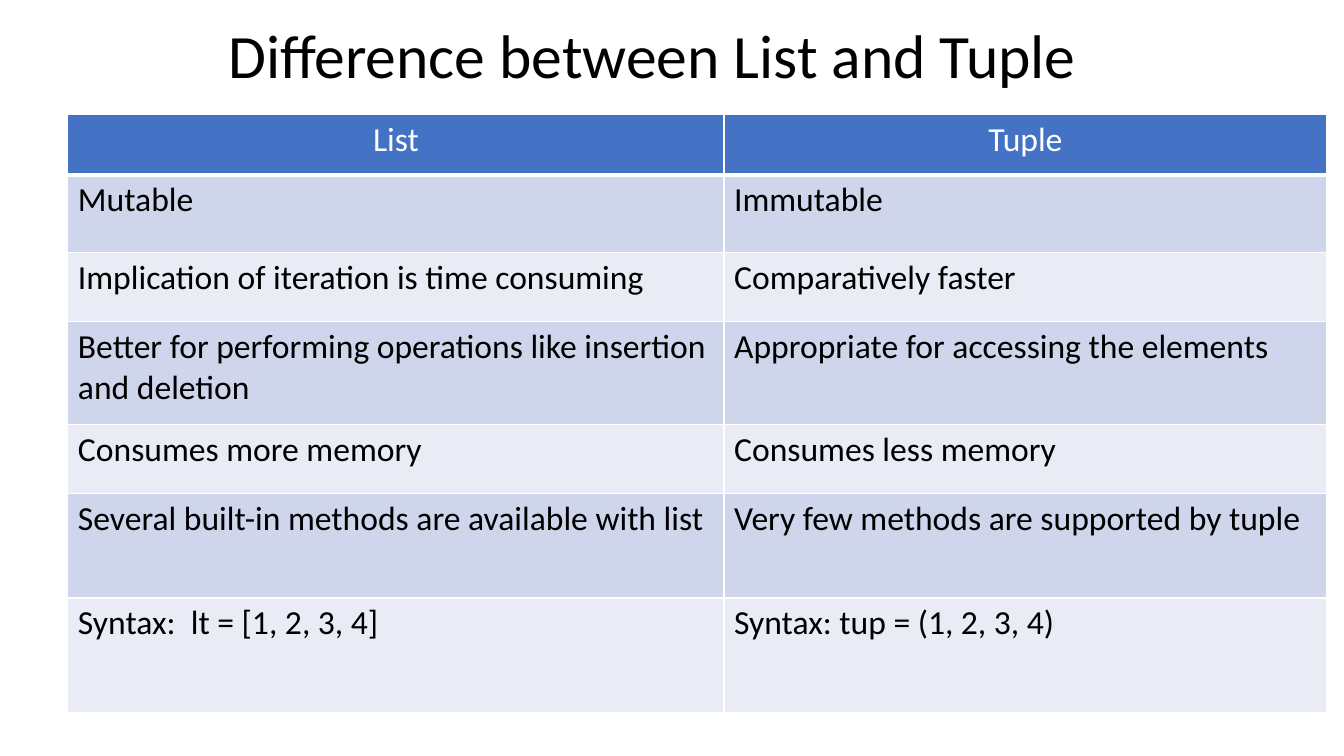
import pptx
import pptx.dml.color
import pptx.enum.text
import pptx.util
from lxml import etree
from pptx.oxml.ns import qn

Pt = pptx.util.Pt
ALIGN = pptx.enum.text.PP_ALIGN

COMPARISON = [
    ("List", "Tuple"),
    ("Mutable", "Immutable"),
    ("Implication of iteration is time consuming", "Comparatively faster"),
    ("Better for performing operations like insertion and deletion",
     "Appropriate for accessing the elements"),
    ("Consumes more memory", "Consumes less memory"),
    ("Several built-in methods are available with list",
     "Very few methods are supported by tuple"),
    ("Syntax:  lt = [1, 2, 3, 4]", "Syntax: tup = (1, 2, 3, 4)"),
]
COLUMN_WIDTHS = [468.7, 430.6]
ROW_HEIGHTS = [43.2, 55.4, 49.7, 73.4, 49, 74.9, 82.1]
HEADER_FILL = "4472C4"
BAND_FILLS = ["E9EBF5", "CFD5EA"]


def color(value):
    return pptx.dml.color.RGBColor.from_string(value)


def add_text(paragraph, text, size, ink, align=ALIGN.LEFT):
    paragraph.alignment = align
    run = paragraph.add_run()
    run.text = text
    run.font.name = "Calibri"
    run.font.size = Pt(size)
    run.font.bold = False
    run.font.color.rgb = color(ink)


def add_title(slide, text):
    title = slide.shapes.add_textbox(Pt(156), Pt(12), Pt(648), Pt(60))
    frame = title.text_frame
    frame.word_wrap = True
    frame.vertical_anchor = pptx.enum.text.MSO_ANCHOR.MIDDLE
    frame.paragraphs[0].line_spacing = 0.9
    add_text(frame.paragraphs[0], text, 44, "000000")


def add_borders(cell, widths):
    properties = cell._tc.get_or_add_tcPr()
    for side, width in widths.items():
        border = etree.SubElement(properties, qn(f"a:ln{side}"), w=str(Pt(width)))
        fill = etree.SubElement(border, qn("a:solidFill"))
        etree.SubElement(fill, qn("a:srgbClr"), val="FFFFFF")


def fill_cell(cell, text, row):
    is_header = row == 0
    add_borders(cell, {"L": 1, "R": 1, "T": 3 if row == 1 else 1, "B": 3 if is_header else 1})
    cell.fill.solid()
    cell.fill.fore_color.rgb = color(HEADER_FILL if is_header else BAND_FILLS[row % 2])
    add_text(cell.text_frame.paragraphs[0], text, 24,
             "FFFFFF" if is_header else "000000",
             ALIGN.CENTER if is_header else ALIGN.LEFT)


def add_comparison(slide):
    table = slide.shapes.add_table(
        len(COMPARISON), len(COLUMN_WIDTHS), Pt(48.5), Pt(81.6),
        Pt(sum(COLUMN_WIDTHS)), Pt(sum(ROW_HEIGHTS))).table
    for column, width in zip(table.columns, COLUMN_WIDTHS):
        column.width = Pt(width)
    for row, (height, texts) in enumerate(zip(ROW_HEIGHTS, COMPARISON)):
        table.rows[row].height = Pt(height)
        for column, text in enumerate(texts):
            fill_cell(table.cell(row, column), text, row)


def main():
    deck = pptx.Presentation()
    deck.slide_width = Pt(960)
    deck.slide_height = Pt(540)
    slide = deck.slides.add_slide(deck.slide_layouts[6])
    slide.background.fill.solid()
    slide.background.fill.fore_color.rgb = color("FFFFFF")
    add_title(slide, "Difference between List and Tuple")
    add_comparison(slide)
    deck.save("out.pptx")


if __name__ == "__main__":
    main()
